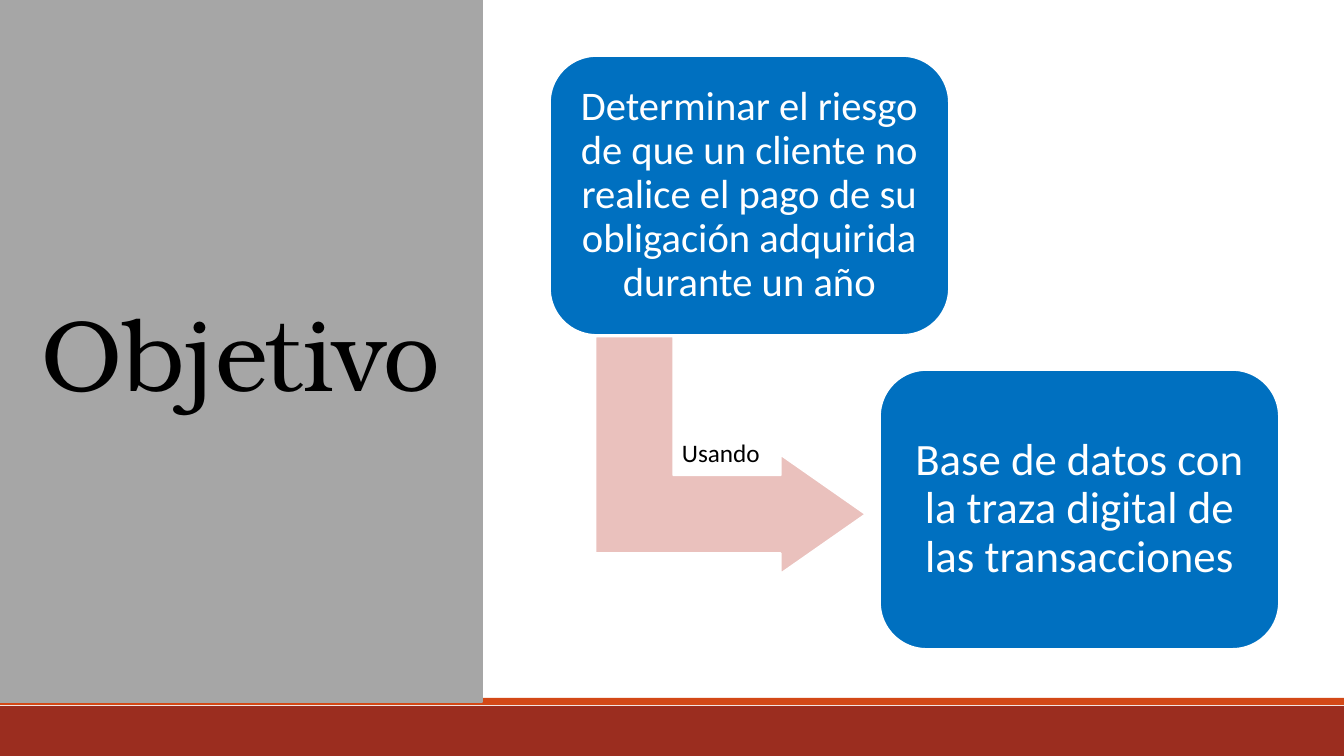
import pptx
import pptx.dml.color
import pptx.enum.shapes
import pptx.enum.text
import pptx.util

SHAPES = pptx.enum.shapes.MSO_SHAPE
ALIGN = pptx.enum.text.PP_ALIGN
ANCHOR = pptx.enum.text.MSO_ANCHOR
WIDTH, HEIGHT = 1344, 756
SCALE = 12192000 / WIDTH


def px(length):
    return pptx.util.Emu(round(length * SCALE))


def color(value):
    return pptx.dml.color.RGBColor.from_string(value)


def write(box, text, size, font="Calibri", ink="FFFFFF", align=ALIGN.CENTER,
          anchor=ANCHOR.MIDDLE, spacing=1.0, inset=None):
    frame = box.text_frame
    frame.word_wrap = True
    frame.vertical_anchor = anchor
    if inset is not None:
        frame.margin_left = frame.margin_right = px(inset)
        frame.margin_top = frame.margin_bottom = px(inset)
    para = frame.paragraphs[0]
    para.alignment = align
    para.line_spacing = spacing
    span = para.add_run()
    span.text = text
    span.font.size = pptx.util.Pt(size)
    span.font.name = font
    span.font.color.rgb = color(ink)


class Slide:
    """Holds the style and the current page, and adds elements to it."""

    blue, gray, pink = "0070C0", "A6A6A6", "EAC1BD"
    brick, orange, white, black = "9B2D1F", "D34817", "FFFFFF", "000000"
    outline = 1.25

    def __init__(self, deck):
        self.page = deck.slides.add_slide(deck.slide_layouts[6])

    def shape(self, kind, left, top, width, height, fill, line=None):
        box = self.page.shapes.add_shape(kind, px(left), px(top), px(width), px(height))
        box.shadow.inherit = False
        box.fill.solid()
        box.fill.fore_color.rgb = color(fill)
        if line:
            box.line.color.rgb = color(line)
            box.line.width = pptx.util.Pt(self.outline)
        else:
            box.line.fill.background()
        return box

    def bar(self, top, height, fill):
        self.shape(SHAPES.RECTANGLE, 0, top, WIDTH, height, fill)

    def title_panel(self, width, height, text):
        panel = self.shape(SHAPES.RECTANGLE, 0, 0, width, height, self.gray, self.gray)
        write(panel, text, 72, font="TeX Gyre Bonum", ink=self.black)

    def step(self, left, top, text, size, inset):
        card = self.shape(SHAPES.ROUNDED_RECTANGLE, left, top, 399, 279, self.blue, self.white)
        card.adjustments[0] = 0.167
        write(card, text, size, spacing=0.9, inset=inset)

    def bent_arrow(self, left, top, width, height):
        arrow = self.shape(SHAPES.BENT_UP_ARROW, left, top, width, height, self.pink, self.white)
        arrow.rotation = 90
        for index, value in enumerate((0.328, 0.25, 0.358)):
            arrow.adjustments[index] = value

    def label(self, left, top, width, height, text):
        box = self.page.shapes.add_textbox(px(left), px(top), px(width), px(height))
        write(box, text, 18, ink=self.black, align=ALIGN.LEFT, anchor=ANCHOR.TOP)


def main():
    deck = pptx.Presentation()
    deck.slide_width, deck.slide_height = px(WIDTH), px(HEIGHT)
    slide = Slide(deck)
    slide.bar(706, 50, slide.brick)
    slide.bar(698, 7, slide.orange)
    slide.title_panel(482, 702, "Objetivo")
    slide.bent_arrow(612, 320, 237, 270)
    slide.step(550, 56, "Determinar el riesgo de que un cliente no realice el pago "
               "de su obligación adquirida durante un año", 29, 12)
    slide.step(880, 370, "Base de datos con la traza digital de las transacciones", 32, 13)
    slide.label(672, 432, 152, 40, "Usando")
    deck.save("out.pptx")


if __name__ == "__main__":
    main()
